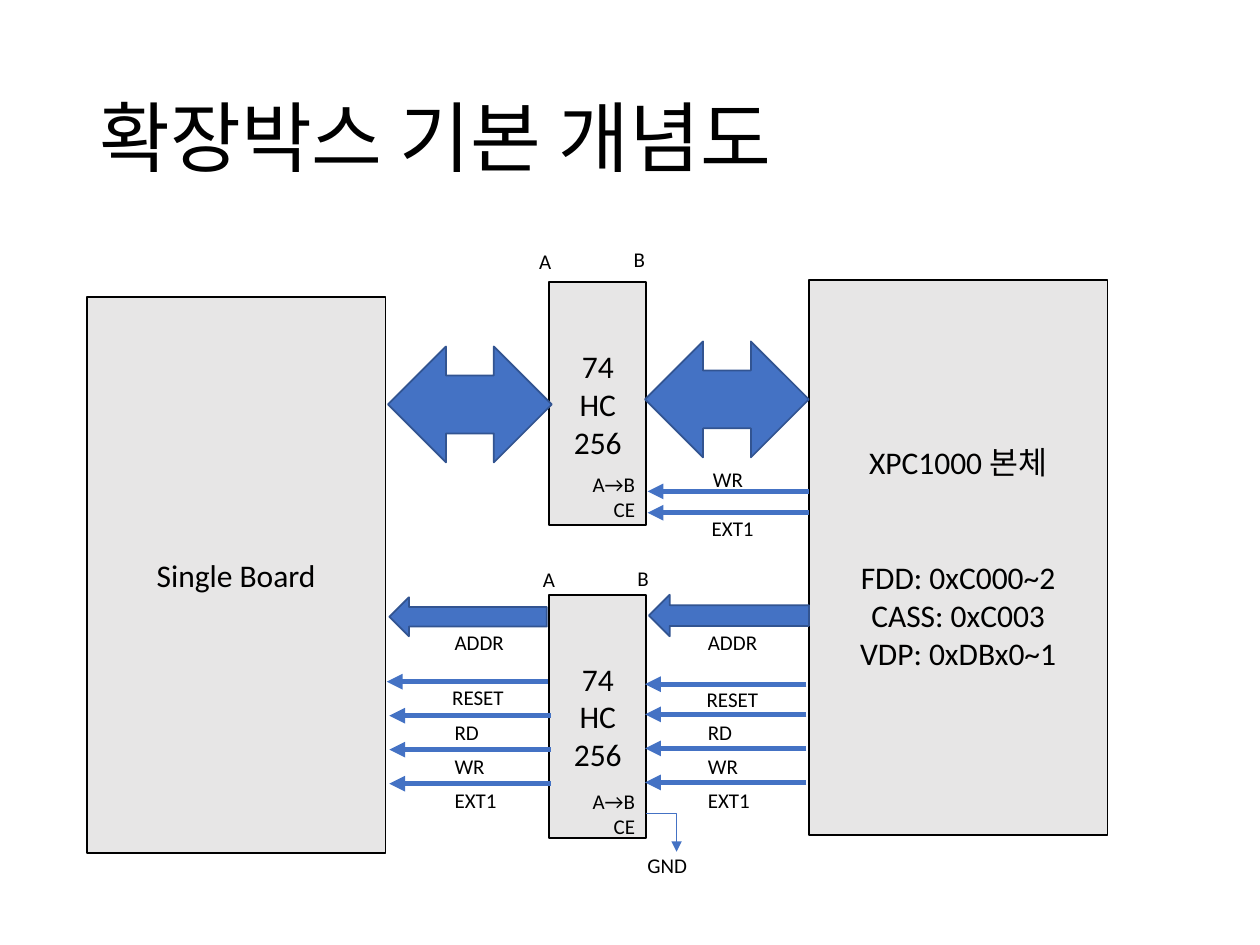
import pptx
import pptx.util
import pptx.dml.color
import pptx.enum.shapes
import pptx.enum.text
import pptx.oxml.ns
import lxml.etree

SHAPE = pptx.enum.shapes.MSO_SHAPE
CONNECTOR = pptx.enum.shapes.MSO_CONNECTOR
ALIGN = pptx.enum.text.PP_ALIGN
ANCHOR = pptx.enum.text.MSO_ANCHOR
INCH = pptx.util.Inches

FONT, INK, BLOCK, BLUE, BLUE_EDGE = "Calibri", "000000", "E7E6E6", "4472C4", "325491"

TITLE = "확장박스 기본 개념도"
CHIP = ["74", "HC", "256"]
CHIP_PINS = ["A→B", "CE"]
HOST = ["XPC1000 본체", "FDD: 0xC000~2", "CASS: 0xC003", "VDP: 0xDBx0~1"]
HOST_GAP = {1: 44}
BOARD = ["Single Board"]

CHIP_LEFT, CHIP_WIDTH, CHIP_HEIGHT = 4.36, 0.77, 1.93
CHIP_TOPS = (2.24, 4.72)
BOARD_LEFT, HOST_LEFT, UNIT_WIDTH, UNIT_HEIGHT = 0.69, 6.42, 2.37, 4.41
SIGNAL_LENGTH, SIGNAL_STEP, LABEL_HEIGHT = 1.28, 0.27, 0.3

DATA_BUSES = [(5.12, 2.71), (3.08, 2.75)]
ADDRESS_BUSES = [(3.09, 4.74, 1.25, 0.31), (5.15, 4.72, 1.27, 0.33)]
CONTROL_SIGNALS = [(HOST_LEFT, 3.9), (HOST_LEFT, 4.07)]
RESET_SIGNALS = [(4.35, 5.41), (6.4, 5.43)]
SHARED_SIGNALS = [("RD", 0.4), ("WR", 0.44), ("EXT1", 0.6)]
SHARED_COLUMNS = [(4.37, 5.68, 3.51), (6.4, 5.67, 5.52)]
SHARED_LABEL_TOP = 5.66
LABELS = [
    ("A", 4.18, 1.92, 0.3), ("B", 4.93, 1.91, 0.3),
    ("A", 4.21, 4.45, 0.3), ("B", 4.96, 4.44, 0.3),
    ("WR", 5.56, 3.65, 0.44), ("EXT1", 5.55, 4.04, 0.54),
    ("ADDR", 3.51, 4.95, 0.6), ("ADDR", 5.52, 4.95, 0.6),
    ("RESET", 3.49, 5.38, 0.62), ("RESET", 5.51, 5.4, 0.62),
    ("GND", 5.04, 6.72, 0.52),
]
GROUND_WIRE = (5.13, 6.46, 5.37, 6.76)


def color(value):
    """Turn a hex string into a colour."""
    return pptx.dml.color.RGBColor.from_string(value)


def write(frame, lines, size, align, gaps=None):
    """Fill a text frame with one paragraph per line."""
    for index, line in enumerate(lines):
        paragraph = frame.paragraphs[0] if index == 0 else frame.add_paragraph()
        paragraph.alignment = align
        if gaps and index in gaps:
            paragraph.space_before = pptx.util.Pt(gaps[index])
        run = paragraph.add_run()
        run.text = line
        run.font.size = pptx.util.Pt(size)
        run.font.name = FONT
        run.font.color.rgb = color(INK)


def add_shape(slide, kind, box, fill, edge):
    """Add a filled preset shape with a thin outline."""
    shape = slide.shapes.add_shape(kind, *map(INCH, box))
    shape.shadow.inherit = False
    shape.fill.solid()
    shape.fill.fore_color.rgb = color(fill)
    shape.line.color.rgb = color(edge)
    shape.line.width = pptx.util.Pt(1)
    return shape


def add_block(slide, box, lines, gaps=None):
    """Add a grey unit with centred text."""
    block = add_shape(slide, SHAPE.RECTANGLE, box, BLOCK, INK)
    block.text_frame.word_wrap = True
    block.text_frame.vertical_anchor = ANCHOR.MIDDLE
    write(block.text_frame, lines, 18, ALIGN.CENTER, gaps)


def add_label(slide, lines, left, top, width, height=LABEL_HEIGHT, align=ALIGN.LEFT):
    """Add a small unwrapped label."""
    frame = slide.shapes.add_textbox(*map(INCH, (left, top, width, height))).text_frame
    frame.word_wrap = False
    frame.auto_size = pptx.enum.text.MSO_AUTO_SIZE.SHAPE_TO_FIT_TEXT
    write(frame, lines, 12, align)


def add_arrow(slide, ends, width, kind=CONNECTOR.STRAIGHT):
    """Add a blue connector with a triangle at its far end."""
    arrow = slide.shapes.add_connector(kind, *map(INCH, ends))
    arrow.line.color.rgb = color(BLUE)
    arrow.line.width = pptx.util.Pt(width)
    qn = pptx.oxml.ns.qn
    lxml.etree.SubElement(arrow.line._get_or_add_ln(), qn("a:tailEnd"), type="triangle")
    properties = arrow._element.spPr
    lxml.etree.SubElement(properties, qn("a:effectLst"))
    if kind == CONNECTOR.ELBOW:
        properties.find(qn("a:prstGeom")).set("prst", "bentConnector2")


def add_signal(slide, right, y):
    """Add a thick signal arrow pointing left."""
    add_arrow(slide, (right, y, right - SIGNAL_LENGTH, y), 3)


def main():
    """Build the block diagram slide."""
    deck = pptx.Presentation()
    deck.slide_width, deck.slide_height = INCH(10), INCH(7.5)
    slide = deck.slides.add_slide(deck.slide_layouts[6])

    heading = slide.shapes.add_textbox(*map(INCH, (0.69, 0.4, 8.62, 1.45))).text_frame
    heading.word_wrap = True
    heading.vertical_anchor = ANCHOR.MIDDLE
    write(heading, [TITLE], 44, ALIGN.LEFT)
    heading.paragraphs[0].line_spacing = 0.9

    for top in CHIP_TOPS:
        add_block(slide, (CHIP_LEFT, top, CHIP_WIDTH, CHIP_HEIGHT), CHIP)
    add_block(slide, (HOST_LEFT, 2.22, UNIT_WIDTH, UNIT_HEIGHT), HOST, HOST_GAP)
    add_block(slide, (BOARD_LEFT, 2.36, UNIT_WIDTH, UNIT_HEIGHT), BOARD)

    for left, top in DATA_BUSES:
        add_shape(slide, SHAPE.LEFT_RIGHT_ARROW, (left, top, 1.3, 0.92), BLUE, BLUE_EDGE)
    for box in ADDRESS_BUSES:
        add_shape(slide, SHAPE.RIGHT_ARROW, box, BLUE, BLUE_EDGE).rotation = 180

    for right, y in CONTROL_SIGNALS + RESET_SIGNALS:
        add_signal(slide, right, y)
    for right, first_y, label_left in SHARED_COLUMNS:
        for row, (name, width) in enumerate(SHARED_SIGNALS):
            drop = row * SIGNAL_STEP
            add_signal(slide, right, first_y + drop)
            add_label(slide, [name], label_left, SHARED_LABEL_TOP + drop, width)

    for name, left, top, width in LABELS:
        add_label(slide, [name], left, top, width)
    for top in (3.69, 6.21):
        add_label(slide, CHIP_PINS, 4.58, top, 0.56, 0.5, ALIGN.RIGHT)
    add_arrow(slide, GROUND_WIRE, 0.5, CONNECTOR.ELBOW)

    deck.save("out.pptx")


if __name__ == "__main__":
    main()
